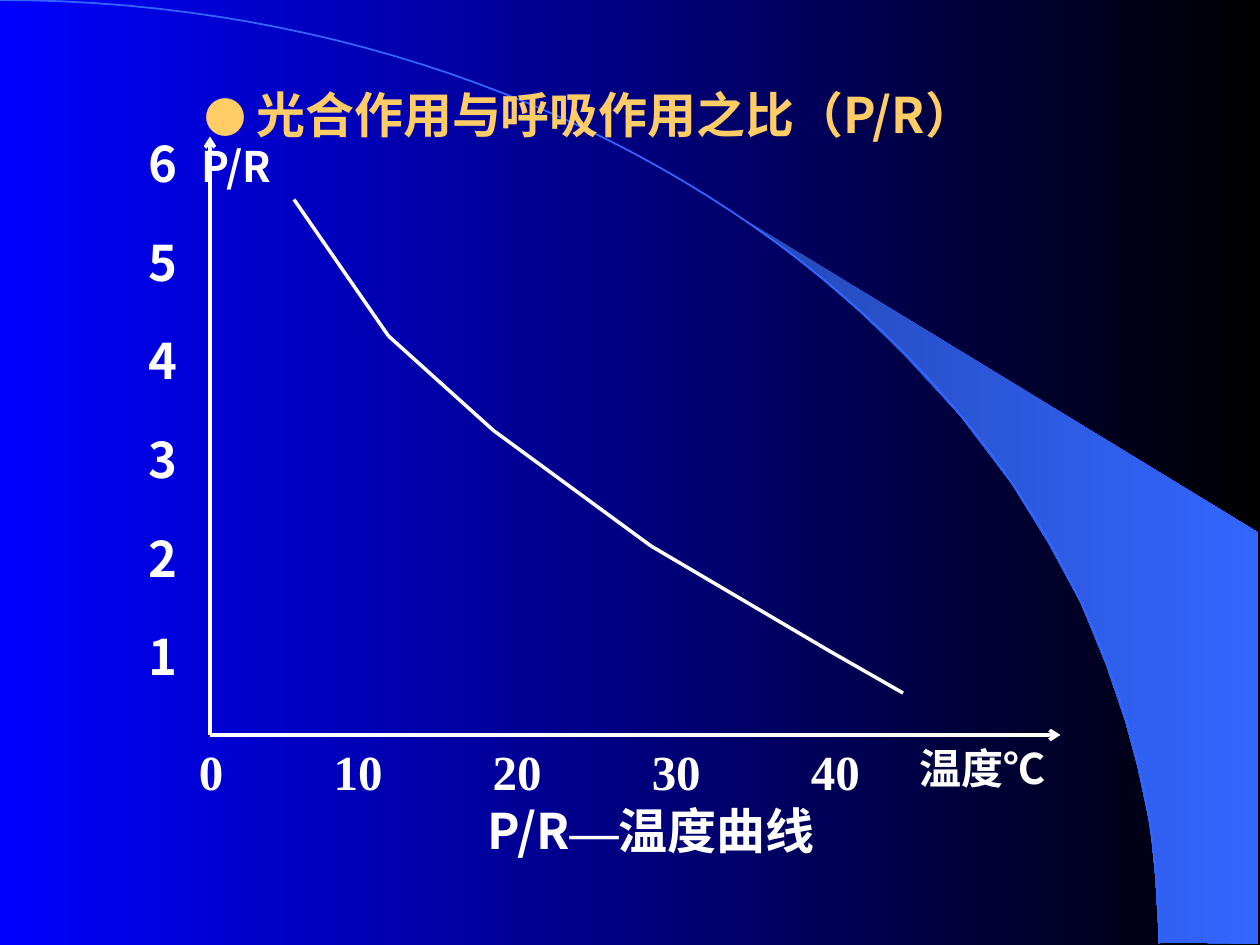
from dataclasses import dataclass
from itertools import pairwise

from lxml import etree
from pptx import Presentation
from pptx import util as u
from pptx.dml.color import RGBColor
from pptx.enum import shapes, text
from pptx.oxml import ns

COLS, ROWS = 120, 90  # grid cells of 1/12 inch


@dataclass(frozen=True)
class Theme:
    white: str = "FFFFFF"
    gold: str = "FFCC66"
    blue: str = "0000FF"
    black: str = "000000"
    glow: str = "3366FF"
    dusk: str = "2449B6"
    large: int = 28
    small: int = 24
    sc: str = "Noto Sans CJK SC"
    jp: str = "Noto Sans CJK JP"
    serif: str = "Times New Roman"


T = Theme()


class Deck:
    def __init__(self):
        self.prs = Presentation()
        self.prs.slide_width, self.prs.slide_height = u.Inches(10), u.Inches(7.5)
        self.s = self.prs.slides.add_slide(self.prs.slide_layouts[6])

    def x(self, cols):
        return round(self.prs.slide_width * cols / COLS)

    def y(self, rows):
        return round(self.prs.slide_height * rows / ROWS)

    def gradient(self, fill, *colors):
        fill.gradient()
        fill.gradient_angle = 0
        for stop, color in zip(fill.gradient_stops, colors):
            stop.color.rgb = RGBColor.from_string(color)

    def stroke(self, line, color, width):
        line.color.rgb = RGBColor.from_string(color)
        line.width = u.Pt(width)

    def outline(self, points, closed):
        first, *rest = [(self.x(a), self.y(b)) for a, b in points]
        builder = self.s.shapes.build_freeform(*first)
        builder.add_line_segments(rest, close=closed)
        sp = builder.convert_to_shape()
        sp.shadow.inherit = False
        return sp

    def line(self, start, end, arrow=False):
        sp = self.s.shapes.add_connector(
            shapes.MSO_CONNECTOR.STRAIGHT,
            self.x(start[0]), self.y(start[1]), self.x(end[0]), self.y(end[1]))
        self.stroke(sp.line, T.white, 2)
        if arrow:
            etree.SubElement(sp.line._get_or_add_ln(), ns.qn("a:tailEnd"), type="arrow")
        etree.SubElement(sp._element.spPr, ns.qn("a:effectLst"))

    def label(self, center, width, runs, align=text.PP_ALIGN.CENTER, color=T.white):
        """Put runs of (text, size, font) on one line around a grid point."""
        height = 6
        sp = self.s.shapes.add_textbox(
            self.x(center[0] - width / 2), self.y(center[1] - height / 2),
            self.x(width), self.y(height))
        tf = sp.text_frame
        frame = dict(word_wrap=True, vertical_anchor=text.MSO_ANCHOR.MIDDLE,
                     margin_left=0, margin_right=0, margin_top=0, margin_bottom=0)
        for name, value in frame.items():
            setattr(tf, name, value)
        p = tf.paragraphs[0]
        p.alignment = align
        for words, size, font in runs:
            r = p.add_run()
            r.text = words
            for name, value in dict(name=font, size=u.Pt(size), bold=True).items():
                setattr(r.font, name, value)
            r.font.color.rgb = RGBColor.from_string(color)
            etree.SubElement(r.font._element, ns.qn("a:ea"), typeface=font)


def quarter_arc(p0, p1, p2, p3, steps=60):
    """Points along a cubic curve."""
    for i in range(steps + 1):
        t = i / steps
        weights = ((1 - t) ** 3, 3 * t * (1 - t) ** 2, 3 * t * t * (1 - t), t ** 3)
        yield tuple(sum(w * v for w, v in zip(weights, axis))
                    for axis in zip(p0, p1, p2, p3))


def main():
    d = Deck()

    # Background, beam and arc
    d.gradient(d.s.background.fill, T.blue, T.black)
    beam = [(9.2, 7.48), (9.99, 7.49), (9.99, 4.23), (5.89, 1.73), (6.24, 1.99),
            (6.53, 2.22), (6.85, 2.5), (7.16, 2.8), (7.62, 3.3), (8.03, 3.84),
            (8.32, 4.31), (8.58, 4.79), (8.78, 5.28), (8.93, 5.72), (9.03, 6.09),
            (9.13, 6.56), (9.17, 6.96)]
    sp = d.outline([(a * 12, b * 12) for a, b in beam], True)
    d.gradient(sp.fill, T.dusk, T.glow)
    sp.line.fill.background()
    sp = d.outline(quarter_arc((0, 0), (61, 0), (110.4, 40.2), (110.4, 89.9)), False)
    sp.fill.background()
    d.stroke(sp.line, T.glow, 1)

    # Title
    d.label((59.5, 10.85), 80,
            [("● ", T.small, T.sc), ("光合作用与呼吸作用之比（P/R）", T.large, T.sc)],
            text.PP_ALIGN.LEFT, T.gold)

    # Vertical scale
    for i in range(6):
        d.label((15.5, 15.5 + 9.4 * i), 5, [(str(6 - i), T.large, T.sc)])
    d.label((22.5, 15.75), 10, [("P/R", T.small, T.sc)])

    # Horizontal scale
    d.label((20.1, 73.4), 6, [("0", T.large, T.serif)])
    for i in range(4):
        d.label((34.1 + 15.15 * i, 73.4), 8, [(str(10 * (i + 1)), T.large, T.serif)])
    d.label((93.6, 73.1), 18, [("温度℃", T.small, T.sc)])

    # Caption
    d.label((62, 79), 60, [("P/R", T.large, T.jp), ("—", T.large, T.serif),
                           ("温度曲线", T.large, T.jp)])

    # Axes and curve
    origin = (20, 70)
    for end in ((20, 13), (101, 70)):
        d.line(origin, end, arrow=True)
    curve = [(28, 19), (37, 32), (47, 41), (62, 52), (79, 62), (86, 66)]
    for start, end in pairwise(curve):
        d.line(start, end)

    d.prs.save("out.pptx")


if __name__ == "__main__":
    main()
